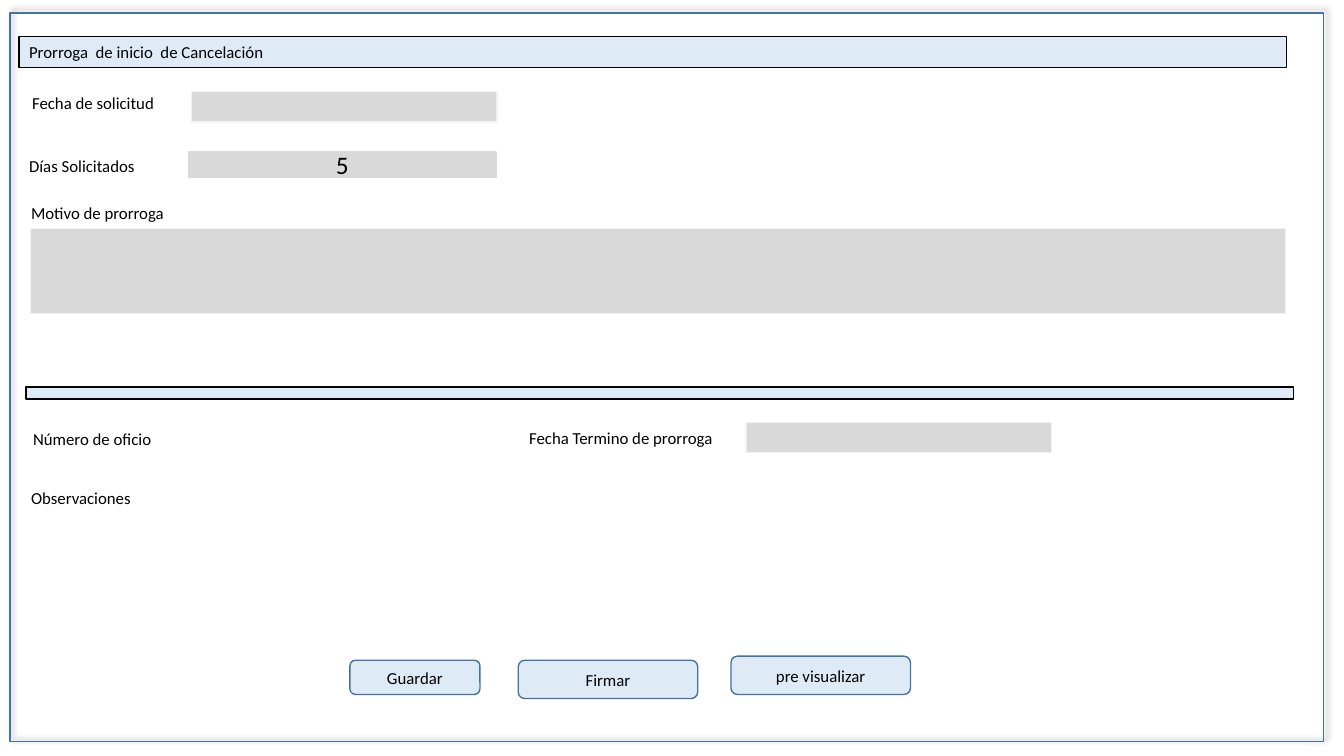
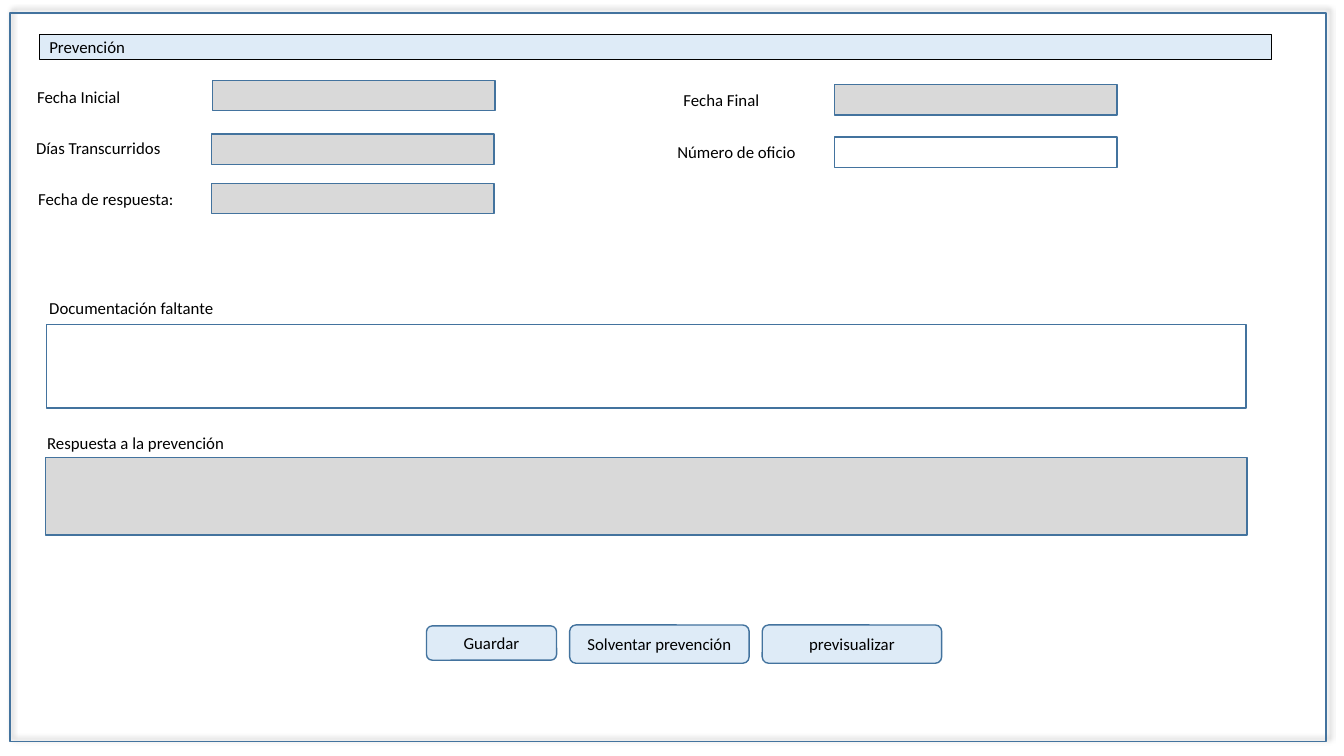
from dataclasses import dataclass

from lxml import etree
from pptx import Presentation
from pptx import util as u
from pptx.dml.color import RGBColor
from pptx.enum import shapes, text
from pptx.oxml import ns

EMU_PER_PX = 9144  # 100 px to the inch
FONT = "Calibri"
TEXT_SIZE = 12
BLACK, WHITE = "000000", "FFFFFF"
BLUE, PALE_BLUE = "43739E", "DEEBF7"
GREY, PALE_GREY = "D9D9D9", "F2F2F2"
RECTANGLE = shapes.MSO_SHAPE.RECTANGLE
ROUNDED = shapes.MSO_SHAPE.ROUNDED_RECTANGLE
LEFT, CENTER = text.PP_ALIGN.LEFT, text.PP_ALIGN.CENTER


@dataclass(frozen=True)
class Style:
    fill: str | None
    line: str
    outline: shapes.MSO_SHAPE = RECTANGLE
    align: text.PP_ALIGN = CENTER
    size: int = TEXT_SIZE


@dataclass(frozen=True)
class Box:
    style: Style
    left: int
    top: int
    width: int
    height: int
    caption: str = ""


@dataclass(frozen=True)
class Label:
    caption: str
    left: int
    top: int
    width: int = 337
    height: int = 30


@dataclass(frozen=True)
class Form:
    frame_width: int
    labels: list[Label]
    boxes: list[Box]


FRAME = Style(None, BLUE)
BAND = Style(PALE_BLUE, BLACK, align=LEFT)
BUTTON = Style(PALE_BLUE, BLUE, ROUNDED)
READ_ONLY = Style(GREY, PALE_GREY)
DAYS = Style(GREY, GREY, size=18)
OUTLINED = Style(GREY, BLUE)
EDITABLE = Style(WHITE, BLUE)

EXTENSION = Form(
    1303,
    [
        Label("Fecha de solicitud", 22, 87),
        Label("Días Solicitados", 19, 150),
        Label("Motivo de prorroga", 21, 196),
        Label("Número de oficio", 23, 420),
        Label("Fecha Termino de prorroga", 515, 419),
        Label("Observaciones", 21, 479),
    ],
    [
        Box(BAND, 19, 36, 1257, 31, "Prorroga  de inicio  de Cancelación"),
        Box(BAND, 26, 384, 1257, 12),
        Box(READ_ONLY, 190, 91, 303, 30),
        Box(DAYS, 187, 151, 305, 25, "5"),
        Box(READ_ONLY, 30, 227, 1245, 84),
        Box(READ_ONLY, 740, 419, 303, 30),
        Box(BUTTON, 347, 655, 129, 34, "Guardar"),
        Box(BUTTON, 514, 655, 178, 38, "Firmar"),
        Box(BUTTON, 725, 651, 178, 38, "pre visualizar"),
    ],
)

PREVENTION = Form(
    1305,
    [
        Label("Fecha Inicial", 27, 81),
        Label("Días Transcurridos", 26, 132),
        Label("Fecha de respuesta:", 28, 182),
        Label("Fecha Final", 668, 84, 160),
        Label("Número de oficio", 662, 136),
        Label("Documentación faltante", 39, 290),
        Label("Respuesta a la prevención", 37, 424),
    ],
    [
        Box(BAND, 39, 34, 1222, 25, "Prevención"),
        Box(OUTLINED, 211, 80, 280, 30),
        Box(OUTLINED, 210, 133, 280, 30),
        Box(OUTLINED, 210, 182, 280, 30),
        Box(OUTLINED, 828, 84, 280, 30),
        Box(EDITABLE, 828, 136, 280, 30),
        Box(EDITABLE, 46, 322, 1190, 83),
        Box(OUTLINED, 45, 454, 1192, 77),
        Box(BUTTON, 423, 621, 129, 34, "Guardar"),
        Box(BUTTON, 565, 620, 178, 38, "Solventar prevención"),
        Box(BUTTON, 756, 620, 178, 38, "previsualizar"),
    ],
)


def px(length: int) -> u.Emu:
    return u.Emu(length * EMU_PER_PX)


def place(item: Box | Label) -> list[u.Emu]:
    return [px(n) for n in (item.left, item.top, item.width, item.height)]


def color(value: str) -> RGBColor:
    return RGBColor.from_string(value)


def write(shape, caption: str, align: text.PP_ALIGN, size: int = TEXT_SIZE) -> None:
    shape.text_frame.word_wrap = True
    paragraph = shape.text_frame.paragraphs[0]
    paragraph.text = caption
    paragraph.alignment = align
    paragraph.font.name = FONT
    paragraph.font.size = u.Pt(size)
    paragraph.font.color.rgb = color(BLACK)


def add_box(slide, box: Box):
    style = box.style
    shape = slide.shapes.add_shape(style.outline, *place(box))
    shape.shadow.inherit = False
    if style.fill:
        shape.fill.solid()
        shape.fill.fore_color.rgb = color(style.fill)
    else:
        shape.fill.background()
    shape.line.color.rgb = color(style.line)
    shape.line.width = u.Pt(1)
    if box.caption:
        shape.text_frame.vertical_anchor = text.MSO_ANCHOR.MIDDLE
        write(shape, box.caption, style.align, style.size)
    return shape


def add_label(slide, label: Label) -> None:
    write(slide.shapes.add_textbox(*place(label)), label.caption, LEFT)


def add_frame(slide, width: int) -> None:
    """Draw the page outline with a soft shadow towards the upper right."""
    frame = add_box(slide, Box(FRAME, 10, 13, width, 723))
    effects = frame.element.spPr.find(ns.qn("a:effectLst"))
    shadow = etree.SubElement(
        effects, ns.qn("a:outerShdw"), blurRad=str(u.Pt(4)), dist=str(u.Pt(3)),
        dir=str(315 * 60000), algn="bl", rotWithShape="0",
    )
    tint = etree.SubElement(shadow, ns.qn("a:srgbClr"), val=BLACK)
    etree.SubElement(tint, ns.qn("a:alpha"), val="40000")


def add_form(presentation, form: Form) -> None:
    slide = presentation.slides.add_slide(presentation.slide_layouts[6])
    add_frame(slide, form.frame_width)
    for box in form.boxes:
        add_box(slide, box)
    for label in form.labels:
        add_label(slide, label)


def main() -> None:
    presentation = Presentation()
    presentation.slide_width = px(1333)
    presentation.slide_height = px(750)
    for form in (EXTENSION, PREVENTION):
        add_form(presentation, form)
    presentation.save("out.pptx")


if __name__ == "__main__":
    main()
